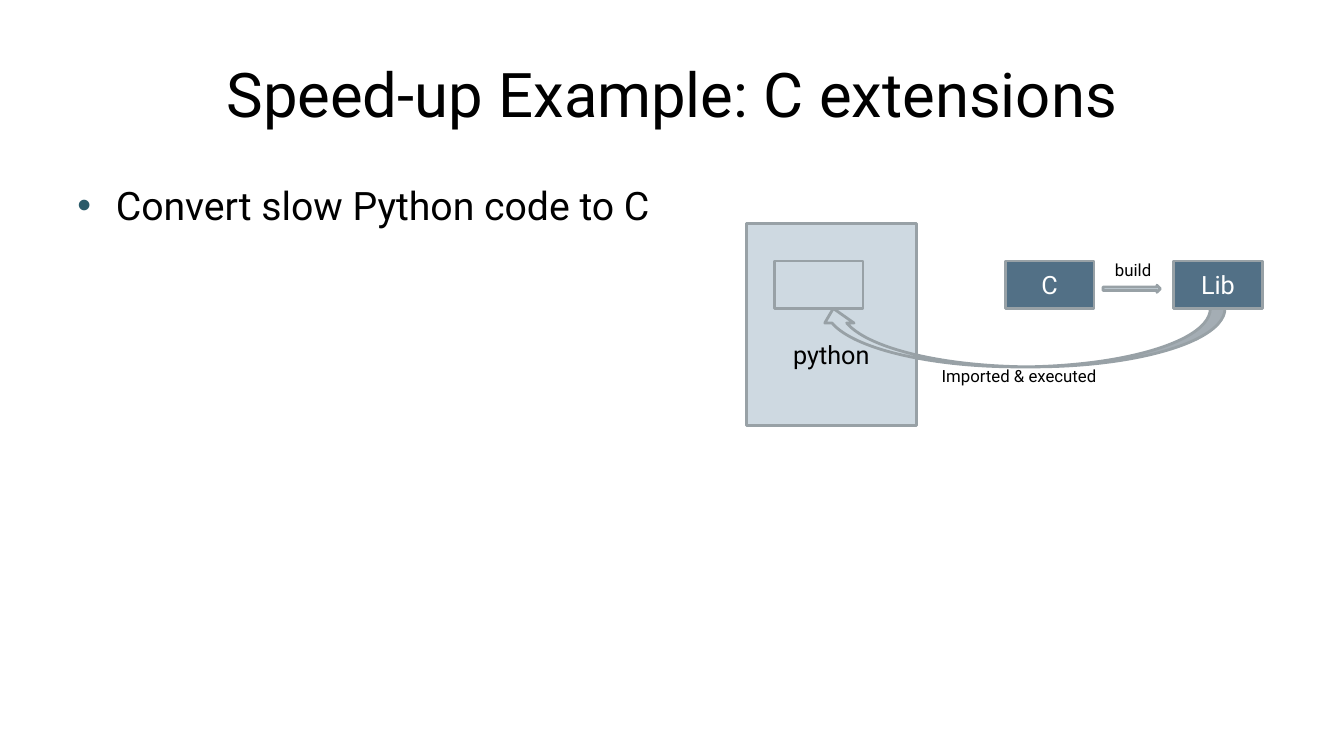
from dataclasses import dataclass

from lxml.etree import SubElement
from pptx import Presentation
from pptx.dml.color import RGBColor
from pptx.enum.shapes import MSO_SHAPE
from pptx.enum.text import MSO_ANCHOR, PP_ALIGN
from pptx.oxml.ns import qn
from pptx.shapes.autoshape import Shape
from pptx.slide import Slide
from pptx.text.text import _Paragraph
from pptx.util import Emu, Pt

PX = 9144  # EMU per px, 100 px to the inch
FONT = "Roboto"
COLOURS = {
    "ink": "000000",
    "white": "FFFFFF",
    "pale": "CED9E1",
    "slate": "527086",
    "edge": "98A1A6",
    "bullet": "2A5A69",
}


@dataclass(frozen=True)
class Block:
    left: int
    top: int
    width: int
    height: int
    fill: str = "pale"
    text: str = ""
    ink: str = "white"
    kind: MSO_SHAPE = MSO_SHAPE.RECTANGLE
    top_inset: int = 5
    flipped: bool = False


@dataclass(frozen=True)
class Label:
    left: int
    top: int
    width: int
    height: int
    text: str
    size: int
    align: PP_ALIGN = PP_ALIGN.LEFT
    anchor: MSO_ANCHOR = MSO_ANCHOR.TOP
    wrap: bool = True
    bulleted: bool = False


BOX_TOP, BOX_WIDTH, BOX_HEIGHT = 259, 88, 47

BLOCKS = [
    Block(740, 222, 169, 200, text="python", ink="ink", top_inset=65),
    Block(768, BOX_TOP, BOX_WIDTH, BOX_HEIGHT),
    Block(997, BOX_TOP, BOX_WIDTH, BOX_HEIGHT, "slate", "C"),
    Block(1164, BOX_TOP, BOX_WIDTH, BOX_HEIGHT, "slate", "Lib"),
    Block(1094, 283, 57, 7, kind=MSO_SHAPE.RIGHT_ARROW),
    Block(812, BOX_TOP + BOX_HEIGHT, 403, 58,
          kind=MSO_SHAPE.CURVED_UP_ARROW, flipped=True),
]

LABELS = [
    Label(67, 30, 1200, 125, "Speed-up Example: C extensions", 44,
          PP_ALIGN.CENTER, MSO_ANCHOR.MIDDLE),
    Label(67, 175, 622, 495, "Convert slow Python code to C", 28, bulleted=True),
    Label(1096, 253, 61, 30, "build", 12),
    Label(924, 358, 175, 30, "Imported & executed", 12, wrap=False),
]


def colour(name: str) -> RGBColor:
    return RGBColor.from_string(COLOURS[name])


def frame(item: Block | Label) -> list[Emu]:
    """Left, top, width and height in EMU."""
    return [Emu(side * PX) for side in (item.left, item.top, item.width, item.height)]


def write(para: _Paragraph, text: str, size: int, ink: str) -> None:
    para.text = text
    para.font.name = FONT
    para.font.size = Pt(size)
    para.font.color.rgb = colour(ink)


def add_bullet(para: _Paragraph) -> None:
    properties = para._p.get_or_add_pPr()
    properties.set("marL", str(38 * PX))
    properties.set("indent", str(-38 * PX))
    bullet_colour = SubElement(properties, qn("a:buClr"))
    SubElement(bullet_colour, qn("a:srgbClr"), val=COLOURS["bullet"])
    SubElement(properties, qn("a:buFont"), typeface="Arial")
    SubElement(properties, qn("a:buChar"), char="•")


def draw_block(page: Slide, block: Block) -> Shape:
    shape = page.shapes.add_shape(block.kind, *frame(block))
    shape.shadow.inherit = False
    shape.fill.solid()
    shape.fill.fore_color.rgb = colour(block.fill)
    shape.line.color.rgb = colour("edge")
    shape.line.width = Pt(2)
    if block.flipped:
        shape._element.spPr.find(qn("a:xfrm")).set("flipH", "1")
    if block.text:
        text_frame = shape.text_frame
        text_frame.vertical_anchor = MSO_ANCHOR.MIDDLE
        text_frame.margin_top = Emu(block.top_inset * PX)
        para = text_frame.paragraphs[0]
        para.alignment = PP_ALIGN.CENTER
        write(para, block.text, 18, block.ink)
    return shape


def draw_label(page: Slide, label: Label) -> Shape:
    box = page.shapes.add_textbox(*frame(label))
    box.text_frame.word_wrap = label.wrap
    box.text_frame.vertical_anchor = label.anchor
    para = box.text_frame.paragraphs[0]
    para.alignment = label.align
    if label.bulleted:
        add_bullet(para)
    write(para, label.text, label.size, "ink")
    return box


def main() -> None:
    deck = Presentation()
    deck.slide_width, deck.slide_height = Emu(1333 * PX), Emu(750 * PX)
    page = deck.slides.add_slide(deck.slide_layouts[6])
    for block in BLOCKS:
        draw_block(page, block)
    for label in LABELS:
        draw_label(page, label)
    deck.save("out.pptx")


if __name__ == "__main__":
    main()
